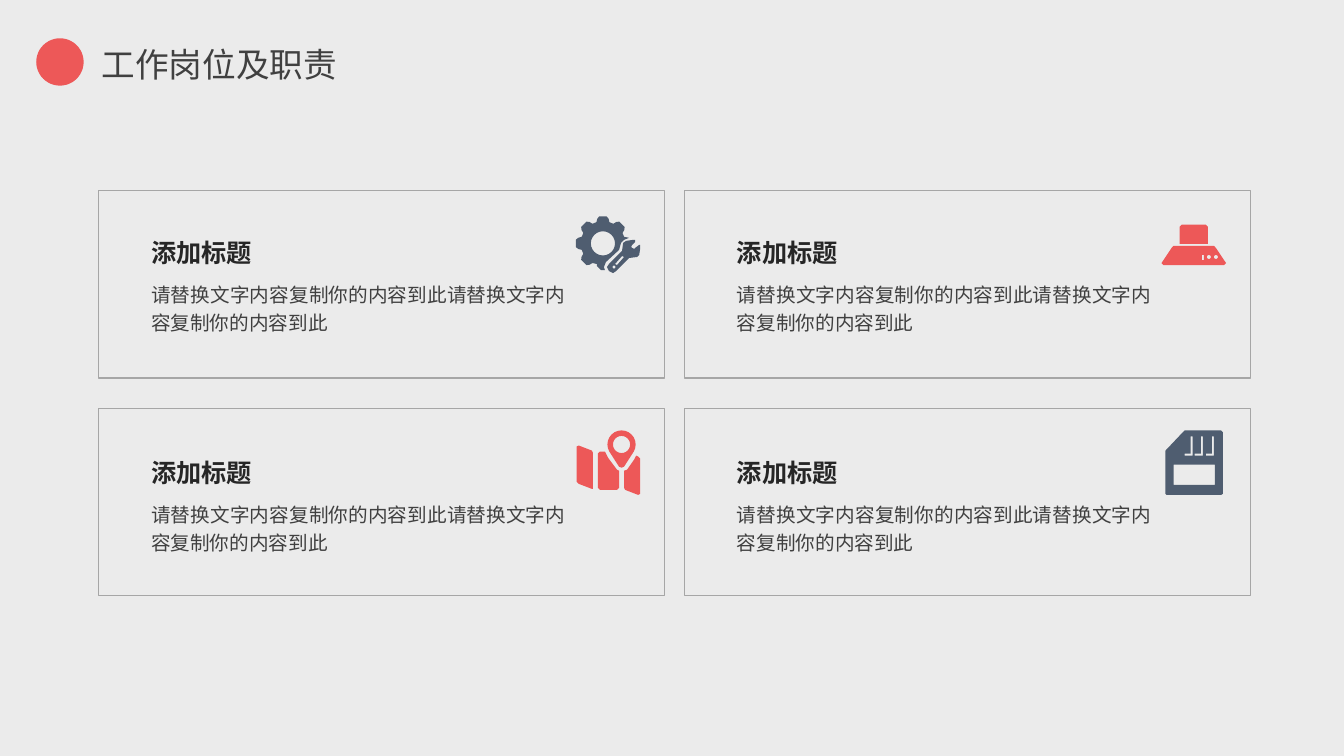
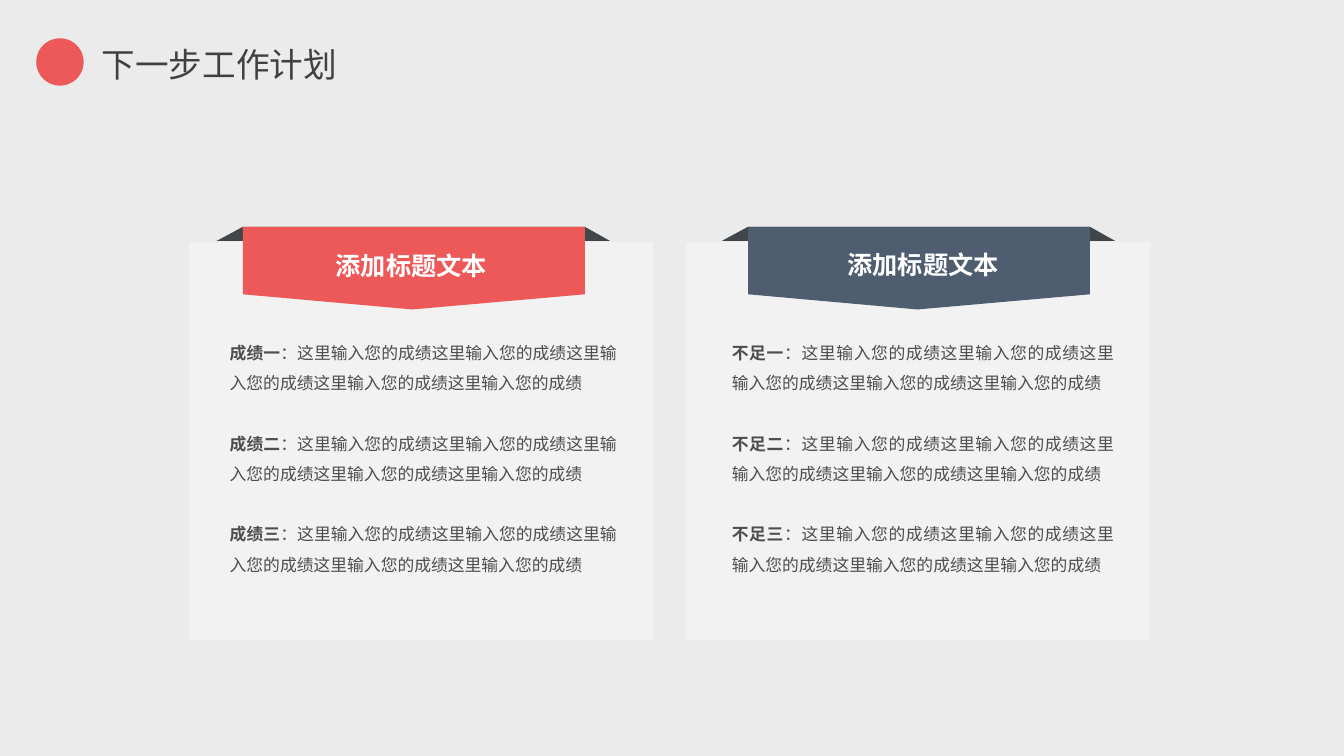
"""Build two slides: a grid of job duties and a pair of plan panels."""
from dataclasses import dataclass
from math import cos, radians, sin
from typing import NamedTuple

from lxml.etree import SubElement as SubEl
from pptx import Presentation
from pptx.dml.color import RGBColor as Rgb
from pptx.enum.shapes import MSO_SHAPE as Shape
from pptx.enum.text import MSO_AUTO_SIZE as Fit
from pptx.enum.text import PP_ALIGN as Align
from pptx.oxml.ns import qn
from pptx.slide import Slide
from pptx.util import Inches, Pt

Point = tuple[float, float]
Path = list[Point]


@dataclass(frozen=True)
class Theme:
    font: str = "Noto Sans CJK SC"
    back: Rgb = Rgb(0xEB, 0xEB, 0xEB)
    red: Rgb = Rgb(0xED, 0x58, 0x58)
    slate: Rgb = Rgb(0x4F, 0x5D, 0x70)
    fold: Rgb = Rgb(0x41, 0x46, 0x4A)
    pale: Rgb = Rgb(0xF2, 0xF2, 0xF2)
    edge: Rgb = Rgb(0xA6, 0xA6, 0xA6)
    white: Rgb = Rgb(0xFF, 0xFF, 0xFF)
    dark: Rgb = Rgb(0x26, 0x26, 0x26)
    text: Rgb = Rgb(0x40, 0x40, 0x40)
    soft: Rgb = Rgb(0x4D, 0x4D, 0x4D)
    title: float = 24
    head: float = 18
    body: float = 14
    small: float = 12
    gap: float = 21.6


THEME = Theme()


class Box(NamedTuple):
    left: float
    top: float
    width: float
    height: float


class Run(NamedTuple):
    text: str
    size: float
    color: Rgb
    bold: bool = False


@dataclass(frozen=True)
class Card:
    col: int
    row: int
    icon: list[Path]
    spot: Point
    color: Rgb


@dataclass(frozen=True)
class Panel:
    left: float
    band: float
    color: Rgb
    head: Box
    body: Box
    label: str


def arc(x: float, y: float, r: float, start: int = 0, end: int = 345) -> Path:
    return [(x + r * cos(radians(a)), y + r * sin(radians(a)))
            for a in range(start, end + 1, 15)]


def rect(left: float, top: float, right: float, bottom: float) -> Path:
    return [(left, top), (right, top), (right, bottom), (left, bottom)]


def gear() -> list[Path]:
    teeth = [(0.27 + r * cos(radians(mid + turn)),
              0.265 + r * sin(radians(mid + turn)))
             for mid in range(135, 316, 45)
             for turn, r in ((-17, 0.22), (-13, 0.25), (-8, 0.27),
                             (8, 0.27), (13, 0.25), (17, 0.22))]
    cut = [(0.48, 0.2), (0.53, 0.21), (0.48, 0.23), (0.45, 0.26),
           (0.43, 0.33), (0.3, 0.45), (0.28, 0.5), (0.29, 0.53),
           (0.25, 0.53), (0.21, 0.49), (0.21, 0.47)]
    wrench = [(0.57, 0.23), (0.59, 0.23), (0.59, 0.25), (0.56, 0.28),
              (0.55, 0.3), (0.56, 0.31), (0.58, 0.32), (0.59, 0.31),
              (0.63, 0.28), (0.64, 0.28), (0.64, 0.31), (0.63, 0.38),
              (0.61, 0.4), (0.53, 0.41), (0.4, 0.54), (0.37, 0.56),
              (0.33, 0.54), (0.31, 0.5), (0.33, 0.47), (0.46, 0.34),
              (0.47, 0.26), (0.5, 0.24)]
    slot = [(0.46, 0.39), (0.48, 0.4), (0.41, 0.48), (0.39, 0.47)]
    return [teeth + cut, arc(0.27, 0.265, 0.12), wrench, slot,
            arc(0.38, 0.5, 0.015)]


def chart() -> list[Path]:
    west = [(0.02, 0.15), (0.15, 0.2), (0.16, 0.22), (0.16, 0.58),
            (0.15, 0.58), (0.02, 0.53), (0, 0.51), (0, 0.16)]
    mid = [(0.23, 0.21), (0.28, 0.21), (0.31, 0.27), (0.4, 0.39),
           (0.42, 0.4), (0.42, 0.57), (0.4, 0.59), (0.23, 0.59),
           (0.21, 0.57), (0.21, 0.23)]
    east = [(0.59, 0.25), (0.61, 0.26), (0.63, 0.28), (0.63, 0.63),
            (0.61, 0.64), (0.48, 0.59), (0.47, 0.57), (0.47, 0.4),
            (0.5, 0.39), (0.57, 0.29)]
    pin = arc(0.445, 0.14, 0.14, 150, 390)
    pin += [(0.47, 0.36), (0.445, 0.37), (0.42, 0.36)]
    return [west, mid, east, pin, arc(0.445, 0.14, 0.085)]


def hood() -> list[Path]:
    top = [(0.2, 0), (0.44, 0), (0.46, 0.02), (0.46, 0.19),
           (0.18, 0.19), (0.18, 0.02)]
    base = [(0.12, 0.21), (0.52, 0.21), (0.54, 0.23), (0.64, 0.38),
            (0.62, 0.4), (0.02, 0.4), (0, 0.38), (0.1, 0.23)]
    return [top, base, rect(0.4, 0.3, 0.42, 0.35),
            *(arc(x, 0.32, 0.02) for x in (0.47, 0.54))]


def disk() -> list[Path]:
    edge = [(0.19, 0), (0.55, 0), (0.57, 0.02), (0.57, 0.63), (0.55, 0.64),
            (0.01, 0.64), (0, 0.63), (0, 0.2), (0.18, 0.01)]
    hooks = [[(x - 0.08, 0.23), (x - 0.02, 0.23), (x - 0.02, 0.06),
              (x, 0.06), (x, 0.25), (x - 0.08, 0.25)]
             for x in (0.27, 0.37, 0.48)]
    return [edge, *hooks, rect(0.08, 0.34, 0.49, 0.54)]


def add_form(slide: Slide, paths: list[Path], left: float, top: float,
             color: Rgb) -> None:
    spots = [[(Inches(left + x), Inches(top + y)) for x, y in path]
             for path in paths]
    pen = slide.shapes.build_freeform(*spots[0][0])
    for step, path in enumerate(spots):
        if step:
            pen.move_to(*path[0])
        pen.add_line_segments(path[1:], close=True)
    form = pen.convert_to_shape()
    form.shadow.inherit = False
    form.fill.solid()
    form.fill.fore_color.rgb = color
    form.line.fill.background()


def add_box(slide: Slide, kind: Shape, box: Box, fill: Rgb | None = None,
            line: Rgb | None = None) -> None:
    shape = slide.shapes.add_shape(kind, *map(Inches, box))
    shape.shadow.inherit = False
    if fill is None:
        shape.fill.background()
    else:
        shape.fill.solid()
        shape.fill.fore_color.rgb = fill
    if line is None:
        shape.line.fill.background()
    else:
        shape.line.color.rgb = line
        shape.line.width = Pt(1)


def add_text(slide: Slide, box: Box, paras: list[list[Run]],
             align: Align = Align.JUSTIFY, space: float = 1,
             gap: float = 0, wrap: bool = True) -> None:
    frame = slide.shapes.add_textbox(*map(Inches, box)).text_frame
    frame.word_wrap = wrap
    frame.auto_size = Fit.SHAPE_TO_FIT_TEXT
    for step, runs in enumerate(paras):
        para = frame.add_paragraph() if step else frame.paragraphs[0]
        para.alignment = align
        para.line_spacing = space
        para.space_before = Pt(gap if step else 0)
        for item in runs:
            run = para.add_run()
            run.text = item.text
            font = run.font
            font.size = Pt(item.size)
            font.bold = item.bold
            font.color.rgb = item.color
            font.name = THEME.font
            props = run._r.get_or_add_rPr()
            SubEl(props, qn("a:ea")).set("typeface", THEME.font)


def add_card(slide: Slide, card: Card) -> None:
    left = 0.98 + 5.81 * card.col
    top = 1.89 + 2.16 * card.row
    add_box(slide, Shape.RECTANGLE, Box(left, top, 5.61, 1.86),
            line=THEME.edge)
    add_form(slide, card.icon, left + card.spot[0], top + card.spot[1],
             card.color)
    head = 2.25 + 2.18 * card.row
    add_text(slide, Box(left + 0.42, head + 0.46, 4.31, 0.67),
             [[Run("请替换文字内容复制你的内容到此" * 2, THEME.body, THEME.text)]],
             space=1.2)
    add_text(slide, Box(left + 0.42, head, 2.24, 0.45),
             [[Run("添加标题", THEME.head, THEME.dark, True)]], space=1.2)


def add_panel(slide: Slide, panel: Panel) -> None:
    add_box(slide, Shape.RECTANGLE, Box(panel.left, 2.4, 4.61, 3.95),
            THEME.pale)
    fold = [(0.26, 0), (3.65, 0), (3.9, 0.14), (0, 0.14)]
    flag = [(0.26, 0), (3.65, 0), (3.65, 0.67), (1.94, 0.82), (0.26, 0.67)]
    for path, color in ((fold, THEME.fold), (flag, panel.color)):
        add_form(slide, [path], panel.band, 2.25, color)
    add_text(slide, panel.head,
             [[Run("添加标题文本", THEME.head, THEME.white, True)]],
             Align.CENTER)
    body = "：" + "这里输入您的成绩" * 5
    add_text(slide, panel.body,
             [[Run(panel.label + num, THEME.small, THEME.soft, True),
               Run(body, THEME.small, THEME.soft)] for num in "一二三"],
             space=1.5, gap=THEME.gap)


def add_page(deck: Presentation, title: str) -> Slide:
    slide = deck.slides.add_slide(deck.slide_layouts[6])
    add_box(slide, Shape.FLOWCHART_CONNECTOR, Box(0.36, 0.38, 0.47, 0.47),
            THEME.red)
    add_text(slide, Box(0.91, 0.39, 2.56, 0.5),
             [[Run(title, THEME.title, THEME.text)]], Align.LEFT, wrap=False)
    return slide


def main() -> None:
    deck = Presentation()
    deck.slide_width, deck.slide_height = Inches(13.33), Inches(7.5)
    back = deck.slide_master.background.fill
    back.solid()
    back.fore_color.rgb = THEME.back

    duties = add_page(deck, "工作岗位及职责")
    for card in (Card(0, 0, gear(), (4.73, 0.26), THEME.slate),
                 Card(0, 1, chart(), (4.74, 0.22), THEME.red),
                 Card(1, 0, hood(), (4.73, 0.34), THEME.red),
                 Card(1, 1, disk(), (4.77, 0.22), THEME.slate)):
        add_card(duties, card)

    plan = add_page(deck, "下一步工作计划")
    for panel in (Panel(1.87, 2.15, THEME.red, Box(3.2, 2.43, 1.76, 0.4),
                        Box(2.18, 3.25, 4.04, 2.49), "成绩"),
                  Panel(6.8, 7.16, THEME.slate, Box(8.01, 2.42, 2.29, 0.4),
                        Box(7.16, 3.25, 3.99, 2.49), "不足")):
        add_panel(plan, panel)
    deck.save("out.pptx")


if __name__ == "__main__":
    main()
